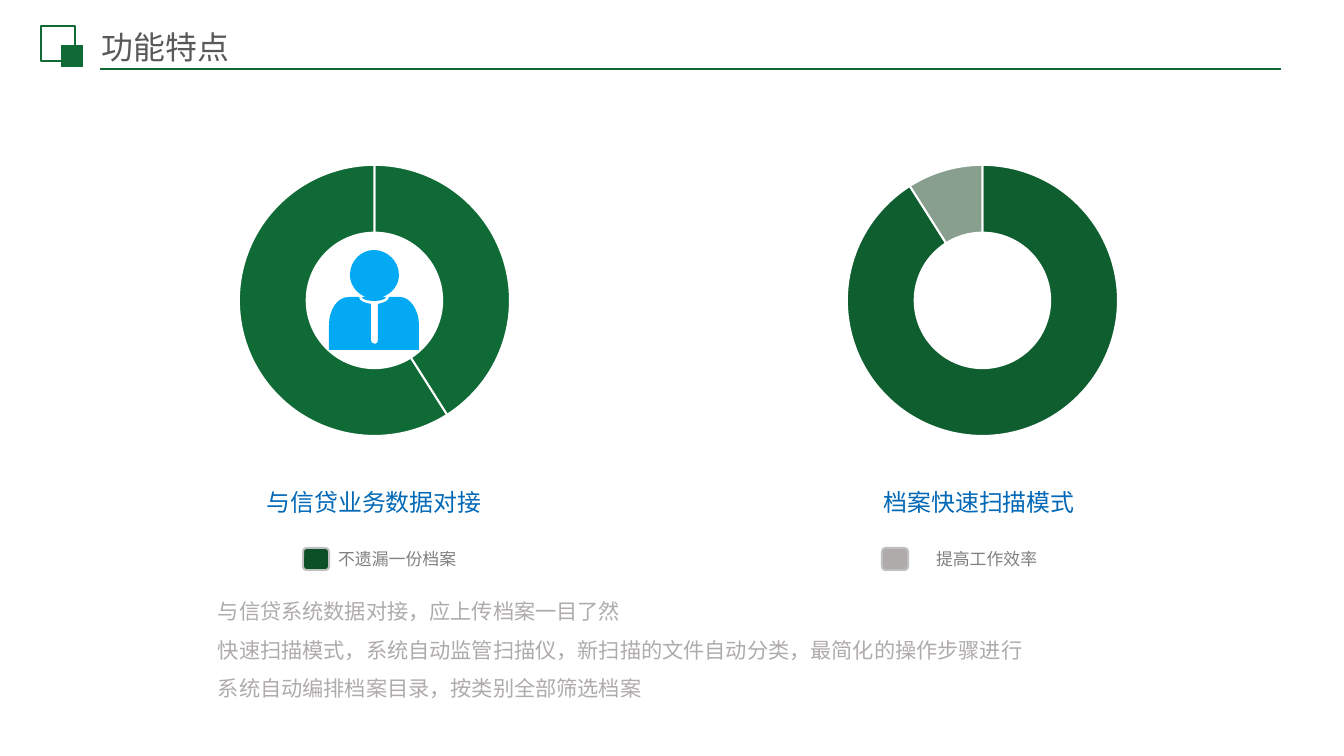
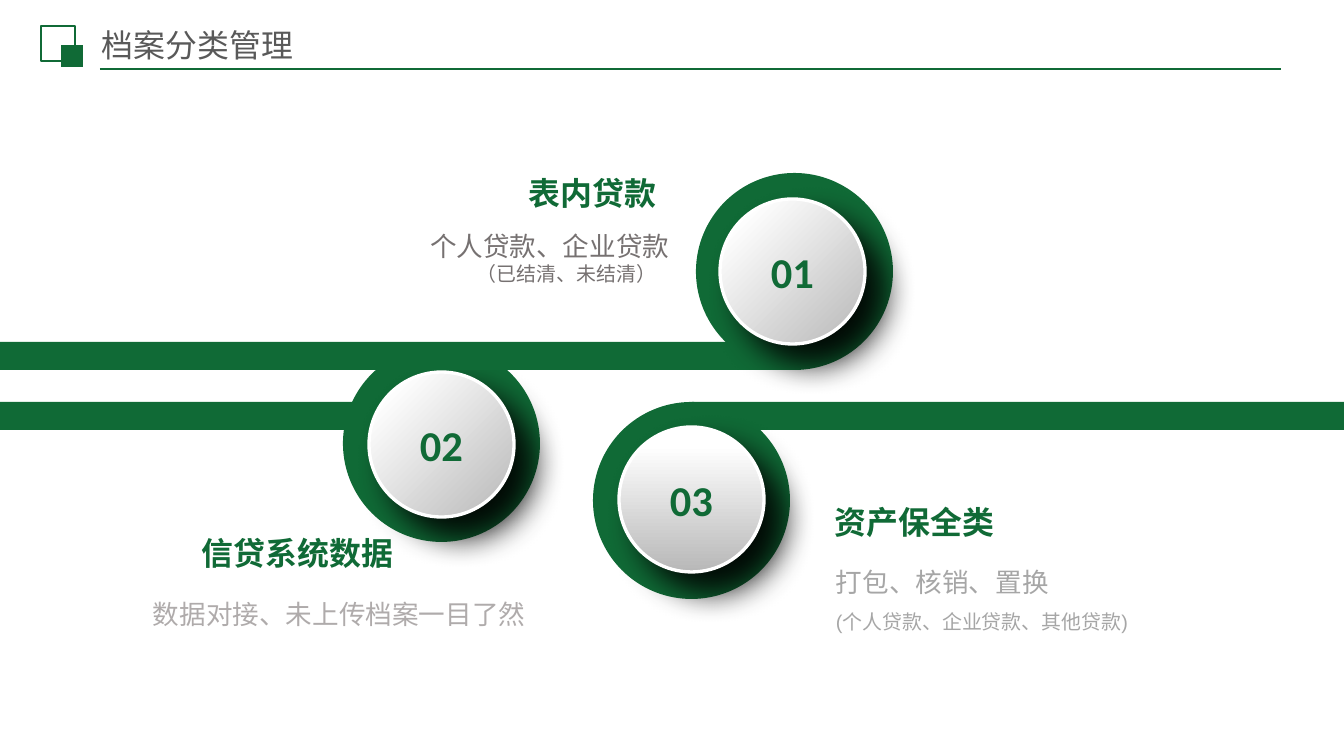
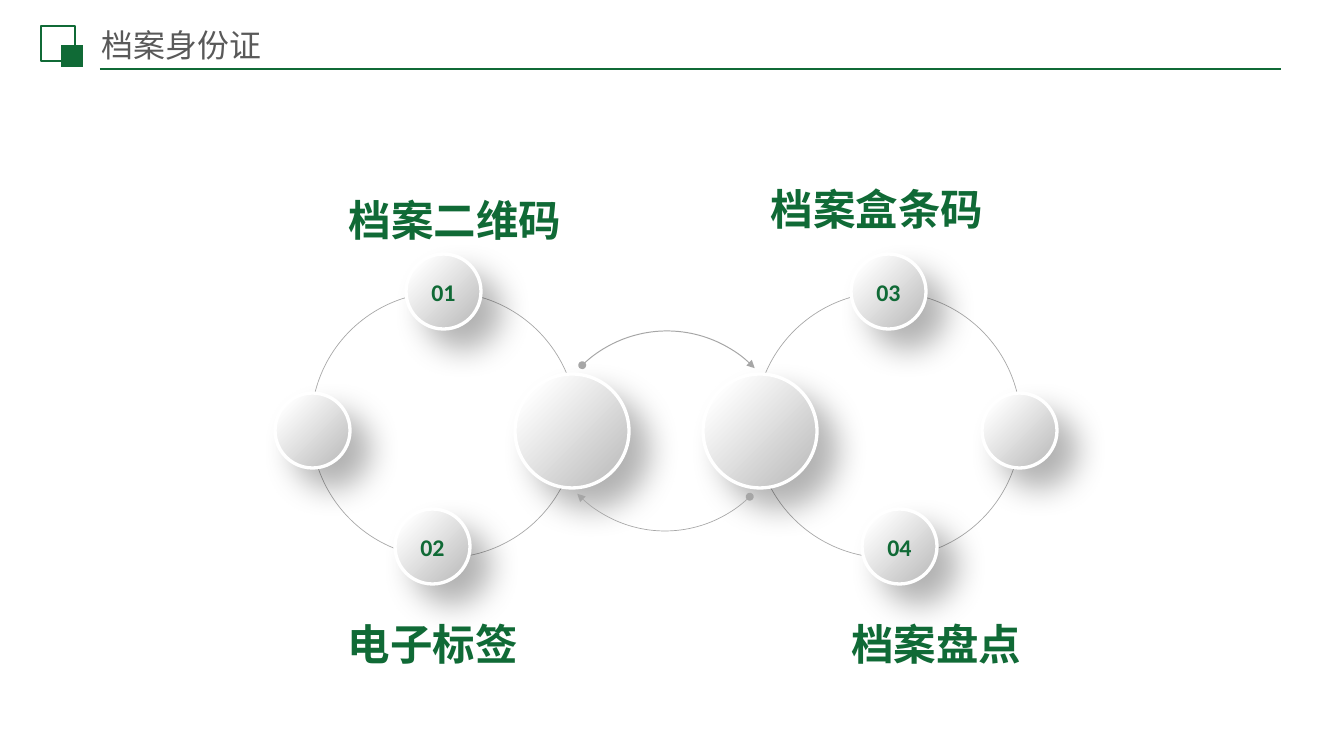
"""Build three slides on the features of an archive management system."""
from lxml import etree
from pptx import Presentation
from pptx import util as u
from pptx.chart.data import CategoryChartData
from pptx.dml.color import RGBColor
from pptx.enum import chart as charts, shapes, text
from pptx.oxml import parse_xml
from pptx.oxml.ns import nsdecls, qn

PX = 9565
COLORS = {
    "green": "106A36", "deep": "0E5E30", "dark": "0C5028", "sage": "889F8D",
    "blue": "0068B6", "sky": "03A9F3", "title": "595959", "label": "808080",
    "brown": "767171", "pale": "AFABAB", "gray": "A6A6A6", "edge": "BFBFBF",
    "shade": "B8B8B8", "white": "FFFFFF", "black": "000000",
}
CJK = "Noto Sans CJK SC"
KIND = shapes.MSO_SHAPE
ALIGN = text.PP_ALIGN

TITLES = [("功能特点", 41, "Arial"), ("档案分类管理", 37, CJK), ("档案身份证", 37, "Arial")]

CHARTS = [
    (209, (41, 59), ("green", "green")),
    (817, (91, 9), ("deep", "sage")),
]
CHART_TITLES = [((254, 468, 240, 53), "与信贷业务数据对接"),
                ((871, 468, 216, 53), "档案快速扫描模式")]
LEGEND = [(303, "dark", (328, 544, 149, 51), "不遗漏一份档案"),
          (882, "pale", (926, 544, 156, 22), "提高工作效率")]
SUMMARY = [
    "与信贷系统数据对接，应上传档案一目了然",
    "快速扫描模式，系统自动监管扫描仪，新扫描的文件自动分类，最简化的操作步骤进行",
    "系统自动编排档案目录，按类别全部筛选档案",
]
PERSON = [
    [(366, 297), (362, 297), (362, 299, 367, 301, 374, 301),
     (381, 301, 386, 299, 386, 297), (382, 297),
     (392, 294, 399, 285, 399, 275), (399, 261, 387, 250, 374, 250),
     (361, 250, 350, 261, 350, 275), (350, 285, 357, 294, 366, 297)],
    [(400, 297), (389, 297), (389, 301, 383, 303, 378, 304), (378, 340),
     (378, 342, 377, 344, 375, 344), (372, 344, 371, 342, 371, 340),
     (371, 304), (365, 303, 359, 301, 359, 297), (349, 297),
     (337, 297, 329, 310, 329, 325), (329, 350), (419, 350), (419, 325),
     (419, 310, 410, 297, 400, 297)],
]

STATIONS = [
    ("02", (343, 345), (369, 372), (0, 402, 467, 28), 45),
    ("01", (696, 173), (720, 199), (0, 342, 794, 28), 45),
    ("03", (593, 402), (619, 427), (692, 402, 652, 28), 90),
]
STATION_HEADS = [((529, 166, 129, 42), "表内贷款"),
                 ((202, 526, 193, 42), "信贷系统数据"),
                 ((835, 495, 161, 42), "资产保全类")]
STATION_NOTES = [
    ((430, 230, 273, 56), "brown", CJK, None,
     [("个人贷款、企业贷款", 20, ALIGN.LEFT), ("（已结清、未结清）", 15, ALIGN.CENTER)]),
    ((153, 582, 387, 42), "pale", "Arial", 1.5,
     [("数据对接、未上传档案一目了然", 20, ALIGN.JUSTIFY)]),
    ((836, 550, 408, 80), "gray", "Arial", 1.5,
     [("打包、核销、置换", 20, ALIGN.JUSTIFY),
      ("(个人贷款、企业贷款、其他贷款)", 15, ALIGN.JUSTIFY)]),
]

MIRROR = 1332
LOOP = (311, 292, 266)
LOOP_DISCS = [(515, 374, 114, ("", "")), (275, 393, 75, ("", "")),
              (406, 254, 75, ("01", "03")), (395, 509, 75, ("02", "04"))]
ARCS = [((667, 453), (226, 316), 0.75), ((665, 409), (46, 136), 0.5)]
LOOP_HEADS = [((348, 608, 184, 56), "电子标签"), ((851, 608, 184, 56), "档案盘点"),
              ((349, 184, 214, 56), "档案二维码"), ((771, 173, 214, 56), "档案盒条码")]


def rgb(name):
    return RGBColor.from_string(COLORS[name])


def emu(values):
    return [round(value * PX) for value in values]


def style_line(line, color, width):
    if color is None:
        line.fill.background()
        return
    line.color.rgb = rgb(color)
    line.width = u.Pt(width)


def add_shape(slide, kind, box, fill=None, line=None, width=1.5):
    shape = slide.shapes.add_shape(kind, *emu(box))
    shape.shadow.inherit = False
    if fill:
        shape.fill.solid()
        shape.fill.fore_color.rgb = rgb(fill)
    else:
        shape.fill.background()
    style_line(shape.line, line, width)
    return shape


def write(frame, lines, color, font="Arial", bold=False, spacing=None):
    for index, (words, size, align) in enumerate(lines):
        paragraph = frame.paragraphs[0] if index == 0 else frame.add_paragraph()
        paragraph.add_run().text = words
        paragraph.alignment = align
        if spacing:
            paragraph.line_spacing = spacing
        paragraph.font.name = font
        paragraph.font.size = u.Pt(size)
        paragraph.font.bold = bold
        paragraph.font.color.rgb = rgb(color)
        properties = paragraph._p.pPr.find(qn("a:defRPr"))
        etree.SubElement(properties, qn("a:ea")).set("typeface", CJK)


def add_text(slide, box, lines, color, insets=(0, 0), wrap=True, grow=True, **style):
    frame = slide.shapes.add_textbox(*emu(box)).text_frame
    frame.margin_left = frame.margin_right = insets[0] * PX
    frame.margin_top = frame.margin_bottom = insets[1] * PX
    frame.word_wrap = wrap
    if grow:
        frame.auto_size = text.MSO_AUTO_SIZE.SHAPE_TO_FIT_TEXT
    write(frame, lines, color, **style)
    return frame


def add_heads(slide, heads, size):
    for box, words in heads:
        add_text(slide, box, [(words, size, ALIGN.LEFT)], "green",
                 wrap=False, bold=True, spacing=1.2)


def add_disc(slide, box, label, size, opacity, angle=45):
    disc = add_shape(slide, KIND.OVAL, box, line="white", width=2.5)
    disc.fill.gradient()
    disc.fill.gradient_angle = 360 - angle
    for stop, color, position in zip(disc.fill.gradient_stops, ("white", "shade"), (0.13, 1)):
        stop.color.rgb = rgb(color)
        stop.position = position
    effects = disc._element.spPr.find(qn("a:effectLst"))
    effects.append(parse_xml(
        f'<a:outerShdw {nsdecls("a")} blurRad="{u.Pt(24)}" dist="{u.Pt(20)}" '
        f'dir="2700000" algn="tl" rotWithShape="0"><a:srgbClr val="{COLORS["black"]}">'
        f'<a:alpha val="{opacity * 1000}"/></a:srgbClr></a:outerShdw>'))
    if label:
        disc.text_frame.vertical_anchor = text.MSO_ANCHOR.MIDDLE
        write(disc.text_frame, [(label, size, ALIGN.CENTER)], "green", "Calibri", True)


def add_outline(slide, steps, fill):
    builder = slide.shapes.build_freeform(*emu(steps[0]), scale=1.0)
    builder.add_line_segments([emu(step[-2:]) for step in steps[1:]], close=True)
    shape = builder.convert_to_shape()
    for step, segment in zip(steps[1:], list(shape._element.iter(qn("a:lnTo")))):
        if len(step) == 6:
            curve = etree.Element(qn("a:cubicBezTo"))
            for x, y in zip(emu(step[::2]), emu(step[1::2])):
                point = etree.SubElement(curve, qn("a:pt"))
                point.set("x", str(x - shape.left))
                point.set("y", str(y - shape.top))
            segment.getparent().replace(segment, curve)
    shape.shadow.inherit = False
    shape.fill.solid()
    shape.fill.fore_color.rgb = rgb(fill)
    shape.line.fill.background()


def add_doughnut(slide, left, values, colors):
    data = CategoryChartData()
    data.categories = ["1", "2"]
    data.add_series("Series 1", values)
    chart = slide.shapes.add_chart(
        charts.XL_CHART_TYPE.DOUGHNUT, *emu((left, 150, 331, 298)), data).chart
    chart.has_legend = chart.has_title = False
    chart.font.name, chart.font.size = "Calibri", u.Pt(10)
    chart.font.color.rgb = rgb("black")
    plot = chart.plots[0]
    plot.vary_by_categories = True
    plot.has_data_labels = False
    for index, color in enumerate(colors):
        form = plot.series[0].points[index].format
        form.fill.solid()
        form.fill.fore_color.rgb = rgb(color)
        style_line(form.line, "white", 1.5)
    area = chart._chartSpace.chart.plotArea
    area.find(".//" + qn("c:holeSize")).set("val", "75")
    for layout in area.findall(qn("c:layout")):
        area.remove(layout)
    parts = "".join(f'<c:{tag} val="{value}"/>' for tag, value in (
        ("layoutTarget", "inner"), ("xMode", "edge"), ("yMode", "edge"),
        ("x", 0.09), ("y", 0.05), ("w", 0.82), ("h", 0.91)))
    area.insert(0, parse_xml(
        f'<c:layout {nsdecls("c")}><c:manualLayout>{parts}</c:manualLayout></c:layout>'))


def add_arc(slide, center, angles, width, radius=122):
    box = (center[0] - radius, center[1] - radius, 2 * radius, 2 * radius)
    arc = add_shape(slide, KIND.ARC, box, line="gray", width=width)
    for index, angle in enumerate(angles):
        arc.adjustments[index] = angle * 0.6
    line = arc.line._get_or_add_ln()
    for tag, kind in (("a:headEnd", "oval"), ("a:tailEnd", "triangle")):
        etree.SubElement(line, qn(tag)).set("type", kind)


def add_page(presentation, title, height, font):
    slide = presentation.slides.add_slide(presentation.slide_layouts[6])
    rule = slide.shapes.add_connector(
        shapes.MSO_CONNECTOR.STRAIGHT, *emu((100, 69, 1281, 69)))
    style_line(rule.line, "green", 1.25)
    etree.SubElement(rule._element.spPr, qn("a:effectLst"))
    add_shape(slide, KIND.RECTANGLE, (41, 26, 34, 35), line="green")
    add_shape(slide, KIND.RECTANGLE, (61, 45, 22, 22), fill="green")
    frame = add_text(slide, (95, 29, 556, height), [(title, 24, ALIGN.LEFT)],
                     "title", insets=(7, 4), grow=False, font=font, spacing=0.9)
    frame.vertical_anchor = text.MSO_ANCHOR.MIDDLE
    return slide


def fill_features(slide):
    for item in CHARTS:
        add_doughnut(slide, *item)
    for steps in PERSON:
        add_outline(slide, steps, "sky")
    for left, color, box, words in LEGEND:
        add_shape(slide, KIND.ROUNDED_RECTANGLE, (left, 548, 26, 22), color, "edge")
        add_text(slide, box, [(words, 12.7, ALIGN.LEFT)], "label", insets=(10, 5))
    add_text(slide, (208, 581, 988, 125), [(line, 16, ALIGN.LEFT) for line in SUMMARY],
             "pale", insets=(10, 5), font=CJK, spacing=1.5)
    for box, words in CHART_TITLES:
        add_text(slide, box, [(words, 18, ALIGN.CENTER)], "blue", insets=(10, 5),
                 wrap=False, font="Calibri", spacing=1.5)


def fill_categories(slide):
    for label, ring, disc, band, angle in STATIONS:
        add_shape(slide, KIND.RECTANGLE, band, "green")
        add_shape(slide, KIND.OVAL, (*ring, 197, 197), "green")
        add_disc(slide, (*disc, 145, 145), label, 32, 90, angle)
    for box, color, font, spacing, lines in STATION_NOTES:
        add_text(slide, box, lines, color, font=font, spacing=spacing)
    add_heads(slide, STATION_HEADS, 24)


def fill_identity(slide):
    for side in (0, 1):
        def place(left, size):
            return MIRROR - left - size if side else left

        left, top, size = LOOP
        add_shape(slide, KIND.OVAL, (place(left, size), top, size, size),
                  line="gray", width=0.5)
        for left, top, size, labels in LOOP_DISCS:
            add_disc(slide, (place(left, size), top, size, size), labels[side], 18, 30)
    for arc in ARCS:
        add_arc(slide, *arc)
    add_heads(slide, LOOP_HEADS, 32)


def main():
    presentation = Presentation()
    presentation.slide_width, presentation.slide_height = emu((1344, 756))
    for title, fill in zip(TITLES, (fill_features, fill_categories, fill_identity)):
        fill(add_page(presentation, *title))
    presentation.save("out.pptx")


if __name__ == "__main__":
    main()
